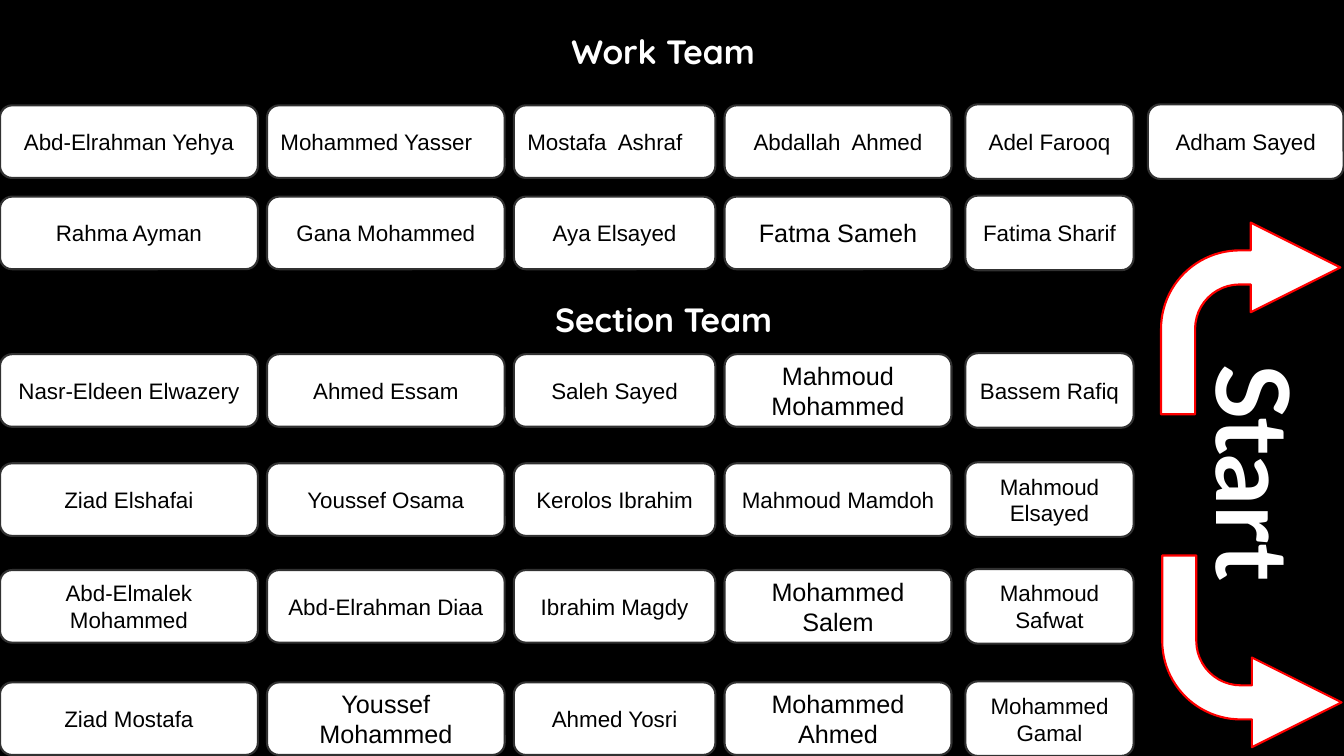
"""Build the slide that lists the work team and the section team."""
from pptx import Presentation
from pptx.dml.color import RGBColor
from pptx.enum.shapes import MSO_SHAPE as Shape
from pptx.enum.text import MSO_ANCHOR as Anchor, PP_ALIGN as Align
from pptx.util import Cm, Pt

BLACK = RGBColor(0, 0, 0)
WHITE = RGBColor(255, 255, 255)
RED = RGBColor(255, 0, 0)
CHARCOAL = RGBColor(0x31, 0x31, 0x31)

COLUMNS = [(0, 6.5, 1.83), (6.73, 5.99, 1.83), (12.95, 5.08, 1.83),
           (18.26, 5.72, 1.83), (24.33, 4.24, 1.88), (28.93, 4.93, 1.88)]
ROWS = [
    (3.57, ["Abd-Elrahman Yehya", "Mohammed Yasser", "Mostafa  Ashraf",
            "Abdallah  Ahmed", "Adel Farooq", "Adham Sayed"]),
    (5.87, ["Rahma Ayman", "Gana Mohammed", "Aya Elsayed",
            "Fatma Sameh", "Fatima Sharif"]),
    (9.84, ["Nasr-Eldeen Elwazery", "Ahmed Essam", "Saleh Sayed",
            "Mahmoud Mohammed", "Bassem Rafiq"]),
    (12.59, ["Ziad Elshafai", "Youssef Osama", "Kerolos Ibrahim",
             "Mahmoud Mamdoh", "Mahmoud Elsayed"]),
    (15.28, ["Abd-Elmalek Mohammed", "Abd-Elrahman Diaa", "Ibrahim Magdy",
             "Mohammed Salem", "Mahmoud Safwat"]),
    (18.11, ["Ziad Mostafa", "Youssef Mohammed", "Ahmed Yosri",
             "Mohammed Ahmed", "Mohammed Gamal"]),
]
LARGE_NAMES = {"Fatma Sameh", "Mahmoud Mohammed", "Mohammed Salem",
               "Youssef Mohammed", "Mohammed Ahmed"}
LEFT_NAMES = {"Mohammed Yasser", "Mostafa  Ashraf"}
ARROW_ADJUSTMENTS = [0.19, 0.25, 0.5, 0.438]


def set_font(paragraph, typeface, size, color, bold=False):
    """Set the font of a whole paragraph."""
    font = paragraph.font
    font.name, font.size, font.bold = typeface, Pt(size), bold
    font.color.rgb = color


def add_heading(slide, text, box, typeface, size, rotation=0):
    """Add a bold white heading."""
    heading = slide.shapes.add_textbox(*map(Cm, box))
    heading.rotation = rotation
    heading.text_frame.word_wrap = True
    heading.text_frame.text = text
    set_font(heading.text_frame.paragraphs[0], typeface, size, WHITE, True)


def add_white_shape(slide, kind, box, outline):
    """Add a white preset shape with a thin outline."""
    shape = slide.shapes.add_shape(kind, *map(Cm, box))
    shape.shadow.inherit = False
    shape.fill.solid()
    shape.fill.fore_color.rgb = WHITE
    shape.line.color.rgb = outline
    shape.line.width = Pt(1.5)
    return shape


def add_member(slide, name, box):
    """Add a rounded card with the name of a team member."""
    card = add_white_shape(slide, Shape.ROUNDED_RECTANGLE, box, CHARCOAL)
    frame = card.text_frame
    frame.word_wrap = True
    frame.vertical_anchor = Anchor.MIDDLE
    frame.text = name
    paragraph = frame.paragraphs[0]
    paragraph.alignment = Align.LEFT if name in LEFT_NAMES else Align.CENTER
    set_font(paragraph, "Arial", 18 if name in LARGE_NAMES else 16, BLACK)


def add_bent_arrow(slide, left, top, flipped=False):
    """Add a bent arrow, turned upside down when flipped."""
    box = left, top, 4.52, 4.83
    arrow = add_white_shape(slide, Shape.BENT_ARROW, box, RED)
    for index, value in enumerate(ARROW_ADJUSTMENTS):
        arrow.adjustments[index] = value
    if flipped:
        arrow._element.spPr.xfrm.set("flipV", "1")


def main():
    """Build and save the slide."""
    deck = Presentation()
    deck.slide_width, deck.slide_height = Cm(33.87), Cm(19.05)
    slide = deck.slides.add_slide(deck.slide_layouts[6])
    slide.background.fill.solid()
    slide.background.fill.fore_color.rgb = BLACK

    add_heading(slide, "Work Team", (14.15, 0.66, 5.59, 1.27), "Quicksand", 24)
    add_heading(slide, "Section Team", (13.74, 7.42, 6.6, 1.27), "Quicksand", 24)
    for middle, names in ROWS:
        for name, (left, width, height) in zip(names, COLUMNS):
            add_member(slide, name, (left, middle - height / 2, width, height))

    add_heading(slide, "Start", (28.37, 10.54, 6.55, 3.33), "Lato", 72, 90)
    add_bent_arrow(slide, 29.26, 5.61)
    add_bent_arrow(slide, 29.29, 14, flipped=True)
    deck.save("out.pptx")


if __name__ == "__main__":
    main()
